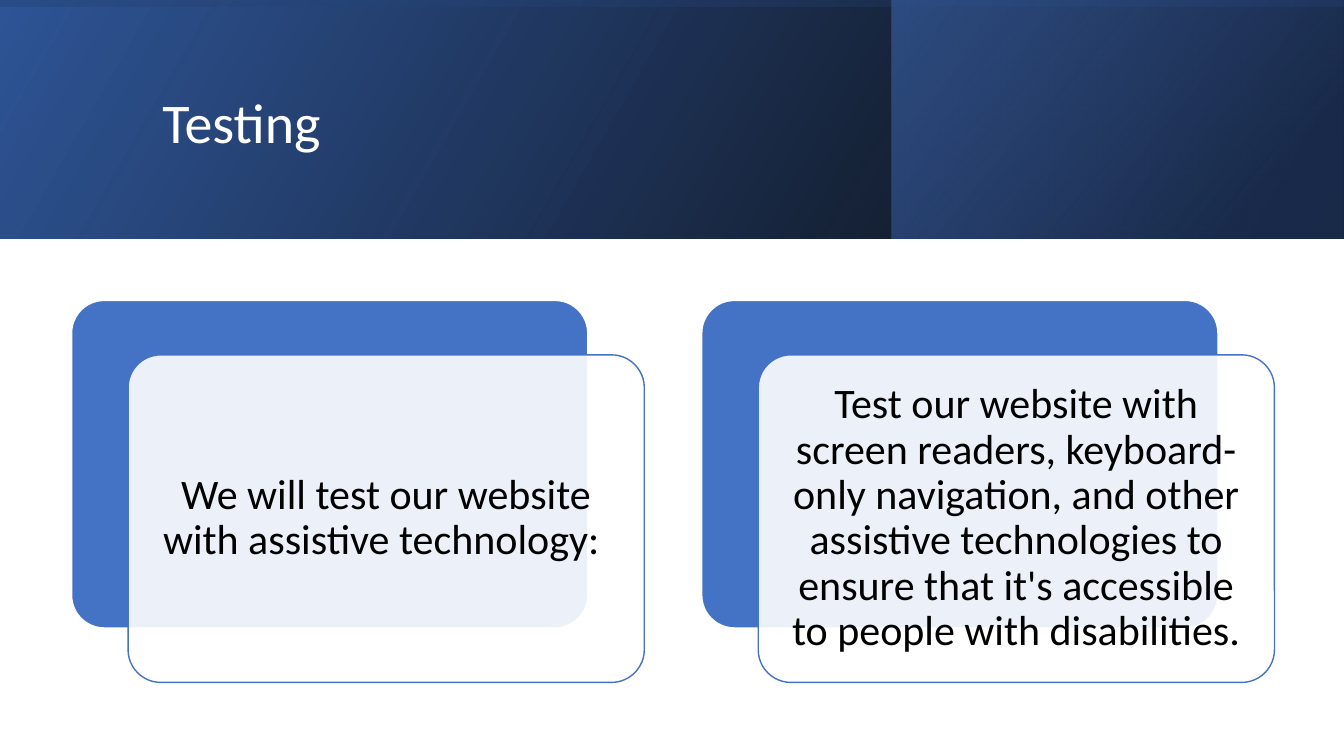
"""Build the Testing slide: a gradient header above two layered cards."""
from dataclasses import dataclass

from lxml.etree import SubElement
from pptx import Presentation
from pptx.dml.color import RGBColor
from pptx.enum.shapes import MSO_SHAPE
from pptx.enum.text import MSO_ANCHOR, PP_ALIGN
from pptx.oxml.ns import qn
from pptx.shapes.autoshape import Shape
from pptx.slide import Slide
from pptx.text.text import TextFrame
from pptx.util import Inches, Pt

COLORS = {
    "black": "000000",
    "white": "FFFFFF",
    "blue": "4472C4",
    "deep_blue": "2F5597",
    "navy": "203864",
}
FONT = "Calibri"
SLIDE_WIDTH, SLIDE_HEIGHT = 13.33, 7.5
HEADER_HEIGHT = 2.37
CARD_WIDTH, CARD_HEIGHT = 5.12, 3.25
CARD_LEFT, CARD_TOP, CARD_PITCH = 0.71, 2.98, 6.25
FRONT_SHIFT_X, FRONT_SHIFT_Y = 0.56, 0.54


@dataclass(frozen=True)
class Stop:
    """One gradient stop: position and opacity in percent."""
    position: int
    color: str
    opacity: int


@dataclass(frozen=True)
class Band:
    """A mirrored gradient rectangle in the header."""
    left: float
    top: float
    width: float
    height: float
    stops: tuple[Stop, Stop]
    angle: int
    rotation: int = 0


BANDS = (
    Band(0, 0, SLIDE_WIDTH, HEADER_HEIGHT,
         (Stop(0, "black", 96), Stop(100, "deep_blue", 100)), 30),
    Band(8.84, 0, 4.48, HEADER_HEIGHT,
         (Stop(19, "navy", 68), Stop(100, "blue", 48)), 40),
    Band((SLIDE_WIDTH - HEADER_HEIGHT) / 2, (HEADER_HEIGHT - SLIDE_WIDTH) / 2,
         HEADER_HEIGHT, SLIDE_WIDTH,
         (Stop(23, "deep_blue", 16), Stop(99, "black", 45)), 10, 270),
)
CARD_TEXTS = (
    "We will test our website with assistive technology: ",
    "Test our website with screen readers, keyboard-only navigation, and other "
    "assistive technologies to ensure that it's accessible to people with disabilities.",
)


def rgb(name: str) -> RGBColor:
    """Look up a named colour."""
    return RGBColor.from_string(COLORS[name])


def set_opacity(shape: Shape, *percents: int) -> None:
    """Apply opacities to the fill colours of a shape in order."""
    for color, percent in zip(shape.element.spPr.iter(qn("a:srgbClr")), percents):
        SubElement(color, qn("a:alpha")).set("val", str(percent * 1000))


def write_text(frame: TextFrame, text: str, size: int, color: str,
               alignment: PP_ALIGN) -> None:
    """Fill a text frame with one vertically centred paragraph."""
    frame.text = text
    frame.word_wrap = True
    frame.vertical_anchor = MSO_ANCHOR.MIDDLE
    paragraph = frame.paragraphs[0]
    paragraph.alignment = alignment
    paragraph.line_spacing = 0.9
    paragraph.font.name = FONT
    paragraph.font.size = Pt(size)
    paragraph.font.color.rgb = rgb(color)


def add_band(slide: Slide, band: Band) -> None:
    """Draw one header band."""
    shape = slide.shapes.add_shape(
        MSO_SHAPE.RECTANGLE, Inches(band.left), Inches(band.top),
        Inches(band.width), Inches(band.height))
    shape.shadow.inherit = False
    shape.line.fill.background()
    shape.rotation = band.rotation
    shape.element.spPr.find(qn("a:xfrm")).set("flipH", "1")
    shape.fill.gradient()
    shape.fill.gradient_angle = band.angle
    for gradient_stop, stop in zip(shape.fill.gradient_stops, band.stops):
        gradient_stop.position = stop.position / 100
        gradient_stop.color.rgb = rgb(stop.color)
    set_opacity(shape, *(stop.opacity for stop in band.stops))


def add_panel(slide: Slide, left: float, top: float, fill: str, line: str) -> Shape:
    """Draw one rounded panel of a card."""
    shape = slide.shapes.add_shape(
        MSO_SHAPE.ROUNDED_RECTANGLE, Inches(left), Inches(top),
        Inches(CARD_WIDTH), Inches(CARD_HEIGHT))
    shape.adjustments[0] = 0.1
    shape.shadow.inherit = False
    shape.fill.solid()
    shape.fill.fore_color.rgb = rgb(fill)
    shape.line.color.rgb = rgb(line)
    shape.line.width = Pt(1)
    return shape


def add_card(slide: Slide, left: float, text: str) -> None:
    """Draw a blue panel with a translucent text panel over it."""
    add_panel(slide, left, CARD_TOP, "blue", "white")
    front = add_panel(slide, left + FRONT_SHIFT_X, CARD_TOP + FRONT_SHIFT_Y,
                      "white", "blue")
    set_opacity(front, 90)
    frame = front.text_frame
    frame.margin_left = frame.margin_right = Inches(0.12)
    frame.margin_top = frame.margin_bottom = Inches(0.12)
    write_text(frame, text, 30, "black", PP_ALIGN.CENTER)


def place_title(slide: Slide, text: str) -> None:
    """Position the title in front of the header bands."""
    title = slide.shapes.title
    title.left, title.top = Inches(1.51), Inches(0.38)
    title.width, title.height = Inches(10.63), Inches(1.72)
    write_text(title.text_frame, text, 40, "white", PP_ALIGN.LEFT)
    title.element.getparent().append(title.element)


def main() -> None:
    """Create and save the presentation."""
    presentation = Presentation()
    presentation.slide_width = Inches(SLIDE_WIDTH)
    presentation.slide_height = Inches(SLIDE_HEIGHT)
    slide = presentation.slides.add_slide(
        presentation.slide_layouts.get_by_name("Title Only"))
    for band in BANDS:
        add_band(slide, band)
    place_title(slide, "Testing")
    for index, text in enumerate(CARD_TEXTS):
        add_card(slide, CARD_LEFT + index * CARD_PITCH, text)
    presentation.save("out.pptx")


if __name__ == "__main__":
    main()
